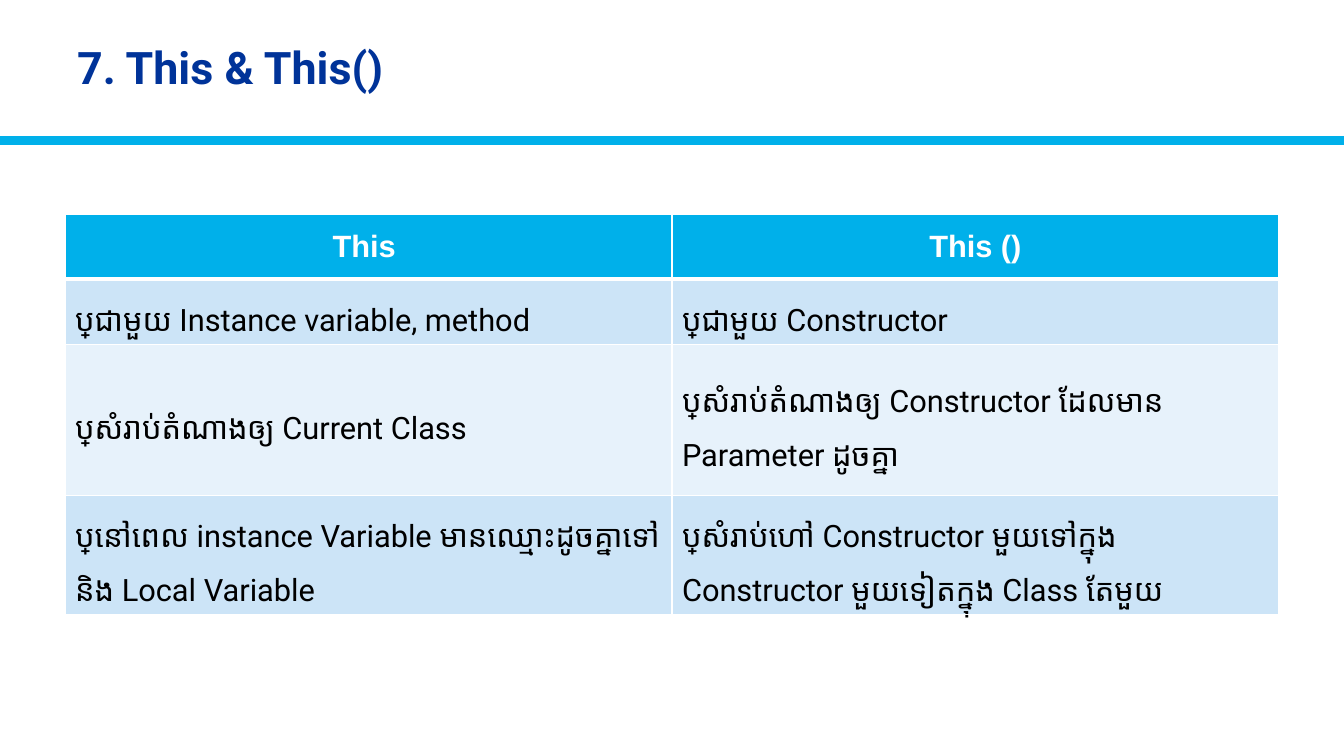
from lxml.etree import SubElement
from pptx import Presentation
from pptx.dml.color import RGBColor
from pptx.enum.shapes import MSO_CONNECTOR as Connector
from pptx.enum.text import MSO_ANCHOR as Anchor, PP_ALIGN as Align
from pptx.oxml.ns import qn
from pptx.util import Emu, Pt

PX = 9525
WHITE = RGBColor(0xFF, 0xFF, 0xFF)
BLACK = RGBColor(0x00, 0x00, 0x00)
NAVY = RGBColor(0x00, 0x33, 0x99)
CYAN = RGBColor(0x00, 0xB0, 0xEA)
BANDS = [RGBColor(0xCC, 0xE4, 0xF7), RGBColor(0xE7, 0xF2, 0xFB)]

TITLE = {"name": "Roboto", "size": Pt(32), "bold": True, "color": NAVY}
HEADER = {"name": "Arial", "size": Pt(22), "bold": True, "color": WHITE}
BODY = {"name": "Roboto", "size": Pt(22), "bold": False, "color": BLACK}

ROWS = [
    ["This ", "This ()"],
    ["ប្រើជាមួយ Instance variable, method", "ប្រើជាមួយ Constructor"],
    ["ប្រើសំរាប់តំណាងឲ្យ Current Class",
     "ប្រើសំរាប់តំណាងឲ្យ Constructor ដែលមាន Parameter ដូចគ្នា"],
    ["ប្រើនៅពេល instance Variable មានឈ្មោះដូចគ្នាទៅនិង Local Variable",
     "ប្រើសំរាប់ហៅ Constructor មួយទៅក្នុង Constructor មួយទៀតក្នុង Class តែមួយ"],
]
ROW_HEIGHTS = [62, 62, 144, 112]


def px(*lengths):
    return [Emu(length * PX) for length in lengths]


class SlideBuilder:
    def __init__(self, deck):
        self.page = deck.slides.add_slide(deck.slide_layouts[6])

    def fill_para(self, para, text, style, spacing, align=Align.LEFT):
        para.alignment = align
        para.line_spacing = spacing
        span = para.add_run()
        span.text = text
        for key, value in style.items():
            if key == "color":
                span.font.color.rgb = value
            else:
                setattr(span.font, key, value)

    def title(self, text, left, top, width, height):
        box = self.page.shapes.add_textbox(*px(left, top, width, height))
        frame = box.text_frame
        frame.word_wrap = True
        frame.vertical_anchor = Anchor.MIDDLE
        self.fill_para(frame.paragraphs[0], text, TITLE, 0.9)

    def rule(self, left, right, y, weight, color):
        line = self.page.shapes.add_connector(
            Connector.STRAIGHT, *px(left, y, right, y))
        line.line.color.rgb = color
        line.line.width = Pt(weight)
        SubElement(line._element.spPr, qn("a:effectLst"))

    def borders(self, cell, weights):
        properties = cell._tc.get_or_add_tcPr()
        for side, weight in weights.items():
            edge = SubElement(properties, qn(f"a:ln{side}"), w=str(Pt(weight)))
            fill = SubElement(edge, qn("a:solidFill"))
            SubElement(fill, qn("a:srgbClr"), val=str(WHITE))

    def table(self, rows, left, top, width, heights):
        columns = len(rows[0])
        table = self.page.shapes.add_table(
            len(rows), columns, *px(left, top, width, sum(heights))).table
        for column in table.columns:
            column.width = Emu(width * PX // columns)
        for index, (texts, height) in enumerate(zip(rows, heights)):
            table.rows[index].height = Emu(height * PX)
            header = index == 0
            for place, text in enumerate(texts):
                cell = table.cell(index, place)
                cell.vertical_anchor = Anchor.MIDDLE
                self.borders(cell, {"L": 1, "R": 1,
                                    "T": 3 if index == 1 else 1,
                                    "B": 3 if header else 1})
                cell.fill.solid()
                cell.fill.fore_color.rgb = CYAN if header else BANDS[(index - 1) % 2]
                para = cell.text_frame.paragraphs[0]
                if header:
                    self.fill_para(para, text, HEADER, 1.0, Align.CENTER)
                else:
                    self.fill_para(para, text, BODY, 1.5)


def main():
    deck = Presentation()
    deck.slide_width, deck.slide_height = px(1280, 720)
    builder = SlideBuilder(deck)
    builder.rule(0, 1280, 134, 6, CYAN)
    builder.table(ROWS, 62, 204, 1156, ROW_HEIGHTS)
    builder.title("7. This & This()", 64, 13, 1154, 107)
    deck.save("out.pptx")


if __name__ == "__main__":
    main()
